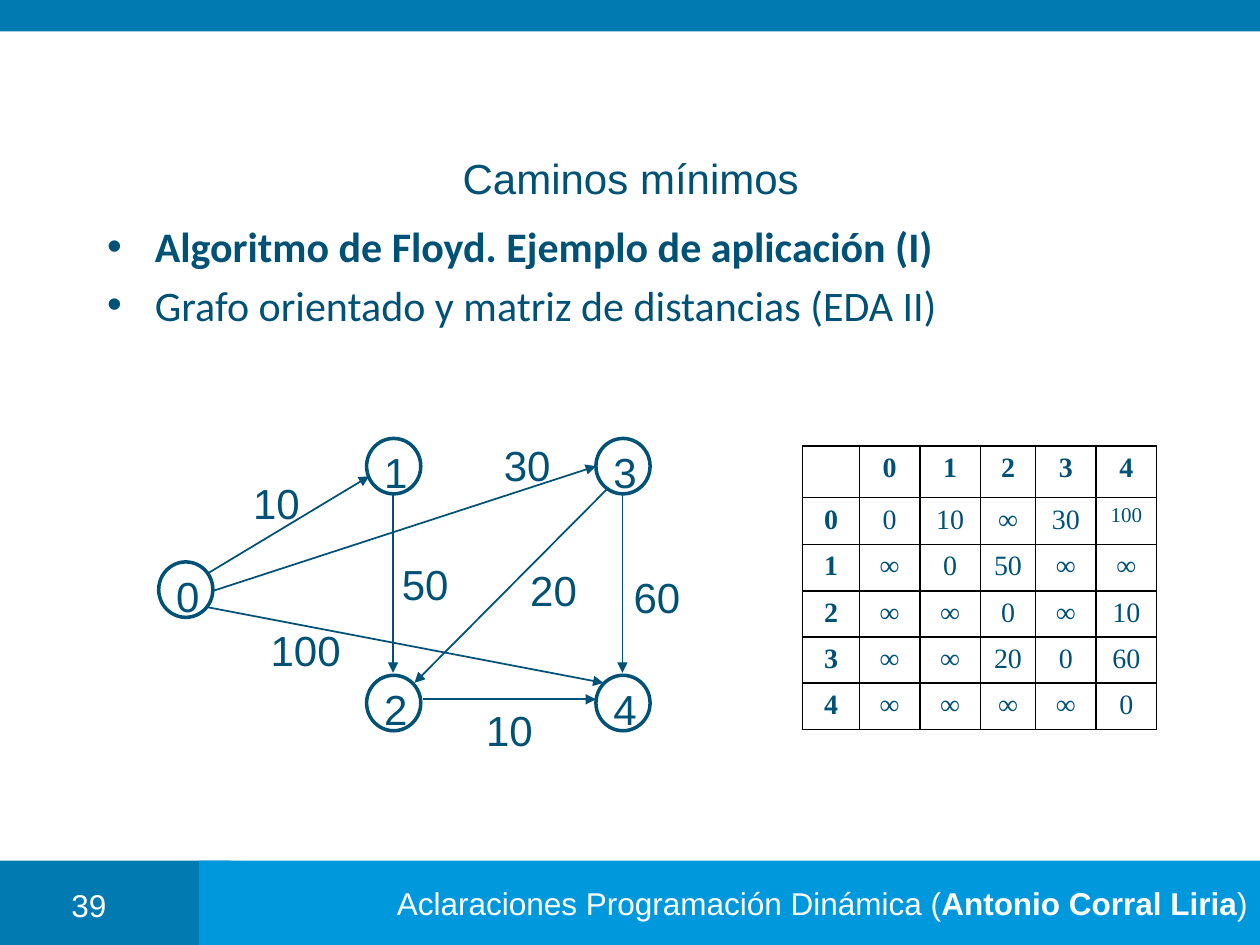
from lxml.etree import SubElement
from pptx import Presentation
from pptx.dml.color import RGBColor
from pptx.enum.shapes import MSO_CONNECTOR, MSO_SHAPE
from pptx.enum.text import MSO_ANCHOR, MSO_AUTO_SIZE, PP_ALIGN
from pptx.oxml.ns import qn
from pptx.util import Inches, Pt

COLUMNS, ROWS = 100, 75
CELL = Inches(10) // COLUMNS
INK, DARK, BRIGHT, WHITE, BLACK = "005176", "007AB1", "0098DC", "FFFFFF", "000000"

NODES = {"0": (0, 10.2), "1": (16.5, 0.4), "2": (16.5, 19.2),
         "3": (34.7, 0.4), "4": (34.7, 19.2)}
EDGES = [
    ((3.9, 11.1), (16.7, 3.4)),
    ((3.9, 13.8), (35.3, 19.8)),
    ((18.6, 4.8), (18.6, 19)),
    ((35.7, 4.3), (20.3, 19.8)),
    ((36.8, 4.9), (36.8, 19)),
    ((21, 21.1), (34.7, 21.1)),
    ((4.3, 12.5), (34.7, 2.6)),
]
WEIGHTS = [("10", 6.5, 3), ("100", 7.9, 14.7), ("50", 18.3, 9.4), ("30", 26.4, 0),
           ("20", 28.5, 9.9), ("10", 25, 21), ("60", 36.7, 10.5)]
DISTANCES = [
    ["", "0", "1", "2", "3", "4"],
    ["0", "0", "10", "∞", "30", "100"],
    ["1", "∞", "0", "50", "∞", "∞"],
    ["2", "∞", "∞", "0", "∞", "10"],
    ["3", "∞", "∞", "20", "0", "60"],
    ["4", "∞", "∞", "∞", "∞", "0"],
]


def grid(*lengths):
    return [round(length * CELL) for length in lengths]


def color(value):
    return RGBColor.from_string(value)


def add_run(paragraph, text, size, ink=INK, font="Arial", bold=False):
    run = paragraph.add_run()
    run.text = text
    run.font.size = Pt(size)
    run.font.name = font
    run.font.bold = bold
    run.font.color.rgb = color(ink)


def add_bar(slide, box, fill):
    bar = slide.shapes.add_shape(MSO_SHAPE.RECTANGLE, *grid(*box))
    bar.shadow.inherit = False
    bar.fill.solid()
    bar.fill.fore_color.rgb = color(fill)
    bar.line.fill.background()
    return bar


def add_label(slide, box, text, size=24, ink=INK, align=PP_ALIGN.LEFT, wrap=False):
    label = slide.shapes.add_textbox(*grid(*box))
    label.text_frame.word_wrap = wrap
    paragraph = label.text_frame.paragraphs[0]
    paragraph.alignment = align
    add_run(paragraph, text, size, ink)


def add_frame(slide, header_box, footer_box):
    left, top, width, height = footer_box
    add_bar(slide, (left, top, 18.3, height), DARK)
    footer = add_bar(slide, (left + 15.8, top, width - 15.8, height), BRIGHT)
    footer.text_frame.word_wrap = False
    footer.text_frame.vertical_anchor = MSO_ANCHOR.MIDDLE
    paragraph = footer.text_frame.paragraphs[0]
    paragraph.alignment = PP_ALIGN.RIGHT
    add_run(paragraph, "Aclaraciones Programación Dinámica (", 18, WHITE)
    add_run(paragraph, "Antonio Corral Liria", 18, WHITE, bold=True)
    add_run(paragraph, ")", 18, WHITE)
    add_bar(slide, header_box, DARK)
    add_label(slide, (left + 3.5, top + 1.5, 7.1, 3.2), "39", 18, WHITE, PP_ALIGN.CENTER, True)


def place(placeholder, box):
    placeholder.left, placeholder.top, placeholder.width, placeholder.height = grid(*box)
    placeholder.text_frame.auto_size = MSO_AUTO_SIZE.NONE
    return placeholder.text_frame


def fill_title(slide, box):
    frame = place(slide.shapes.title, box)
    frame.vertical_anchor = MSO_ANCHOR.MIDDLE
    paragraph = frame.paragraphs[0]
    paragraph.alignment = PP_ALIGN.CENTER
    add_run(paragraph, "Caminos mínimos", 24)


def fill_body(slide, box):
    frame = place(slide.placeholders[1], box)
    items = [("Algoritmo de Floyd. Ejemplo de aplicación (I)", True),
             ("Grafo orientado y matriz de distancias (EDA II)", False)]
    for index, (text, bold) in enumerate(items):
        paragraph = frame.add_paragraph() if index else frame.paragraphs[0]
        paragraph.space_before = Pt(4.8)
        properties = paragraph._p.get_or_add_pPr()
        properties.set("marL", str(Inches(0.38)))
        properties.set("indent", str(-Inches(0.38)))
        SubElement(properties, qn("a:buChar"), char="•")
        add_run(paragraph, text, 24, font="Calibri", bold=bold)


def add_node(slide, left, top, name):
    circle = slide.shapes.add_shape(MSO_SHAPE.OVAL, *grid(left, top, 4.3, 4.4))
    circle.shadow.inherit = False
    circle.fill.background()
    circle.line.color.rgb = color(INK)
    circle.line.width = Pt(2)
    add_label(slide, (left + 0.4, top + 0.15, 3.3, 5.1), name, align=PP_ALIGN.CENTER, wrap=True)


def add_arrow(slide, start, end):
    arrow = slide.shapes.add_connector(MSO_CONNECTOR.STRAIGHT, *grid(*start, *end))
    arrow.line.color.rgb = color(INK)
    arrow.line.width = Pt(1)
    SubElement(arrow.line._get_or_add_ln(), qn("a:tailEnd"), type="triangle")
    SubElement(arrow._element.spPr, qn("a:effectLst"))


def add_graph(slide, box):
    left, top = box[:2]
    for name, (x, y) in NODES.items():
        add_node(slide, left + x, top + y, name)
    for edge in EDGES:
        add_arrow(slide, *[(left + x, top + y) for x, y in edge])
    for text, x, y in WEIGHTS:
        add_label(slide, (left + x, top + y, 2.2 + 1.8 * len(text), 5.1), text)


def add_borders(cell):
    properties = cell._tc.get_or_add_tcPr()
    for side in "LRTB":
        line = SubElement(properties, qn(f"a:ln{side}"), w=str(Pt(1)))
        fill = SubElement(line, qn("a:solidFill"))
        SubElement(fill, qn("a:srgbClr"), val=BLACK)


def add_matrix(slide, box):
    size = len(DISTANCES)
    table = slide.shapes.add_table(size, size, *grid(*box)).table
    table.first_row = table.horz_banding = False
    for column, width in zip(table.columns, grid(4.5, 4.8, 4.8, 4.4, 4.8, 4.8)):
        column.width = width
    for row, height in zip(table.rows, grid(4.1, 3.72, *[3.67] * 4)):
        row.height = height
    for i, values in enumerate(DISTANCES):
        for j, value in enumerate(values):
            cell = table.cell(i, j)
            add_borders(cell)
            cell.fill.background()
            paragraph = cell.text_frame.paragraphs[0]
            paragraph.alignment = PP_ALIGN.CENTER
            if value:
                add_run(paragraph, value, 12 if value == "100" else 16,
                        font="Times New Roman", bold=i == 0 or j == 0)


def main():
    presentation = Presentation()
    presentation.slide_width, presentation.slide_height = grid(COLUMNS, ROWS)
    slide = presentation.slides.add_slide(presentation.slide_layouts[1])
    add_frame(slide, (0, 0, COLUMNS, 2.5), (0, 68.3, COLUMNS, 6.7))
    fill_title(slide, (8.3, 12, 83.5, 4.2))
    fill_body(slide, (7.5, 17, 90.5, 51.2))
    add_graph(slide, (12.6, 34.4, 42.5, 26.1))
    add_matrix(slide, (63.7, 35.4, 28.1, 22.5))
    presentation.save("out.pptx")


if __name__ == "__main__":
    main()
